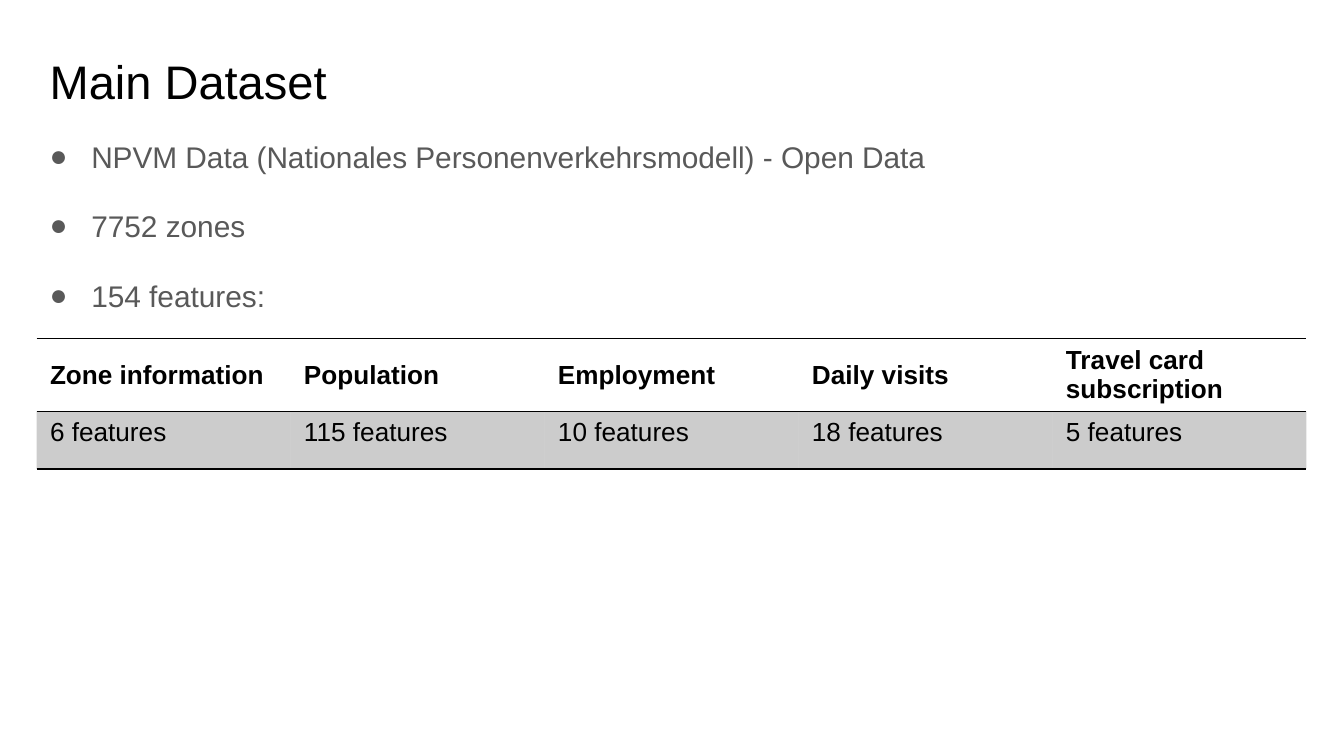
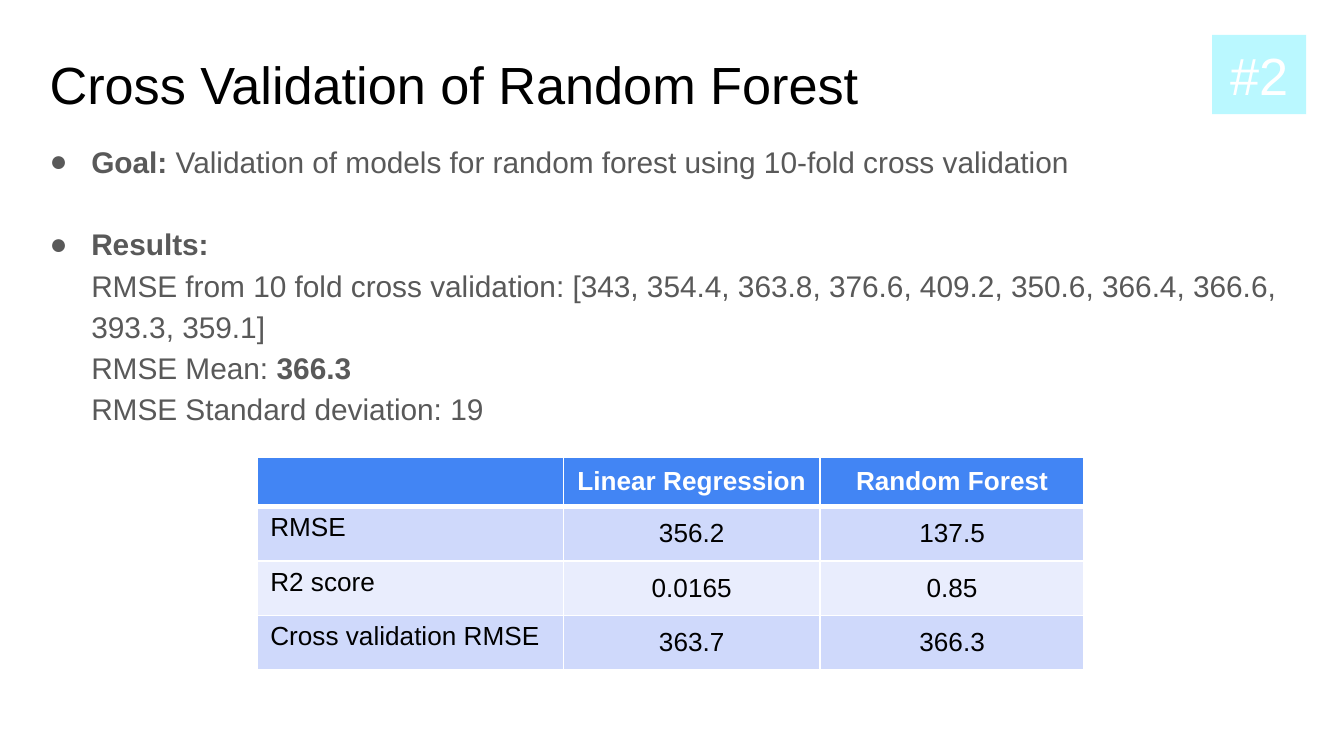
"""Build two slides: the main dataset and the random forest cross validation."""
from dataclasses import dataclass

from lxml import etree
from pptx import Presentation
from pptx.dml.color import RGBColor
from pptx.enum import shapes, text
from pptx.oxml import ns
from pptx.util import Pt


@dataclass(frozen=True)
class Theme:
    font: str = "Arial"
    ink: str = "000000"
    grey: str = "595959"
    white: str = "FFFFFF"
    header: str = "4285F4"
    band_dark: str = "CFD9FB"
    band_light: str = "E9EDFD"
    badge: str = "BAF8FF"
    title: float = 28
    title_small: float = 25.2
    body: float = 16
    table: float = 14


@dataclass(frozen=True)
class Frame:
    left: float
    top: float
    width: float
    height: float


@dataclass(frozen=True)
class Item:
    spans: tuple
    bullet: bool = True
    after: float = 0


@dataclass(frozen=True)
class CellStyle:
    edges: dict
    fill: str | None = None
    alpha: int | None = None
    color: str = "000000"
    bold: bool = False
    centred: bool = False
    middle: bool = False


THEME = Theme()
TITLE = Frame(19.4, 18.5, 680.4, 42)
BODY = Frame(19.4, 66.2, 680.4, 320.4)
BADGE = Frame(649.4, 18.7, 50.4, 42.5)


def place(shape, frame: Frame) -> None:
    """Move and size a shape."""
    shape.left, shape.top = Pt(frame.left), Pt(frame.top)
    shape.width, shape.height = Pt(frame.width), Pt(frame.height)


def add_span(para, words: str, *, size: float, color: str, bold: bool = False) -> None:
    """Add formatted text to a paragraph."""
    span = para.add_run()
    span.text = words
    span.font.name = THEME.font
    span.font.size = Pt(size)
    span.font.bold = bold
    span.font.color.rgb = RGBColor.from_string(color)


def child(parent, tag: str, **attributes: str):
    """Append a drawing element."""
    return etree.SubElement(parent, ns.qn(tag), attributes)


def set_frame(box, frame: Frame, top_inset: float = 7.2):
    """Place a text placeholder and return its text frame."""
    place(box, frame)
    content = box.text_frame
    content.word_wrap = True
    content.auto_size = text.MSO_AUTO_SIZE.NONE
    content.vertical_anchor = text.MSO_ANCHOR.TOP
    content.margin_left = content.margin_right = content.margin_bottom = Pt(7.2)
    content.margin_top = Pt(top_inset)
    return content


def set_bullet(para, bullet: bool, indent: float) -> None:
    """Indent a paragraph and give it a round bullet or none."""
    props = para._p.get_or_add_pPr()
    props.set("marL", str(Pt(indent)))
    props.set("indent", str(Pt(-indent) if bullet else 0))
    if bullet:
        child(child(props, "a:buClr"), "a:srgbClr", val=THEME.grey)
        child(props, "a:buFont", typeface=THEME.font)
        child(props, "a:buChar", char="●")
    else:
        child(props, "a:buNone")


def add_page(deck, title: str, title_size: float, items: list[Item], spacing: float):
    """Add a slide with its title and list."""
    page = deck.slides.add_slide(deck.slide_layouts[1])
    para = set_frame(page.shapes.title, TITLE, 9.5).paragraphs[0]
    para.alignment = text.PP_ALIGN.LEFT
    add_span(para, title, size=title_size, color=THEME.ink)
    content = set_frame(page.placeholders[1], BODY, 8)
    for index, item in enumerate(items):
        para = content.add_paragraph() if index else content.paragraphs[0]
        para.line_spacing = spacing
        para.space_before, para.space_after = Pt(0), Pt(item.after)
        set_bullet(para, item.bullet, 22.3)
        for words, bold in item.spans:
            add_span(para, words, size=THEME.body, color=THEME.grey, bold=bold)
    return page


def set_edges(cell, edges: dict) -> None:
    """Draw the given cell edges as colour and width, and hide the others."""
    props = cell._tc.get_or_add_tcPr()
    for side in "LRTB":
        color, width = edges.get(side, (None, 0))
        line = child(props, f"a:ln{side}", w=str(Pt(width)))
        if color:
            child(child(line, "a:solidFill"), "a:srgbClr", val=color)
        else:
            child(line, "a:noFill")


def fill_cell(cell, words: str, style: CellStyle) -> None:
    """Write and format one table cell."""
    set_edges(cell, style.edges)
    if style.fill:
        cell.fill.solid()
        cell.fill.fore_color.rgb = RGBColor.from_string(style.fill)
    else:
        cell.fill.background()
    if style.alpha:
        color = cell._tc.tcPr.find(ns.qn("a:solidFill")).find(ns.qn("a:srgbClr"))
        child(color, "a:alpha", val=str(style.alpha * 1000))
    cell.vertical_anchor = text.MSO_ANCHOR.MIDDLE if style.middle else text.MSO_ANCHOR.TOP
    if not words:
        cell.margin_top = cell.margin_bottom = Pt(0)
        return
    para = cell.text_frame.paragraphs[0]
    para.alignment = text.PP_ALIGN.CENTER if style.centred else text.PP_ALIGN.LEFT
    add_span(para, words, size=THEME.table, color=style.color, bold=style.bold)


def add_grid(page, left: float, top: float, widths: list, heights: list, rows: list, style_of) -> None:
    """Add a table whose cell styles come from style_of(row, column)."""
    table = page.shapes.add_table(
        len(heights), len(widths), Pt(left), Pt(top), Pt(sum(widths)), Pt(sum(heights))
    ).table
    table.first_row = table.horz_banding = False
    for column, width in zip(table.columns, widths):
        column.width = Pt(width)
    for row, height in zip(table.rows, heights):
        row.height = Pt(height)
    for i, row in enumerate(rows):
        for j, words in enumerate(row):
            fill_cell(table.cell(i, j), words, style_of(i, j))


def feature_style(row: int, column: int) -> CellStyle:
    """Style the feature table: ruled header above a grey row."""
    rule = (THEME.ink, 1)
    edges = {"T": rule, "B": rule}
    if row == 0:
        return CellStyle(edges, bold=True, middle=True)
    return CellStyle(edges, fill=THEME.ink, alpha=20)


def score_style(row: int, column: int) -> CellStyle:
    """Style the score table: blue header above banded rows."""
    edges = dict.fromkeys("LRTB", (THEME.white, 1))
    if row < 2:
        edges["B" if row == 0 else "T"] = (THEME.white, 3)
    if row == 0:
        return CellStyle(edges, THEME.header, color=THEME.white, bold=True, centred=True, middle=True)
    fill = THEME.band_dark if row % 2 else THEME.band_light
    return CellStyle(edges, fill, centred=column > 0, middle=column > 0)


def add_badge(page, words: str) -> None:
    """Add the numbered square at the top right."""
    box = page.shapes.add_shape(shapes.MSO_SHAPE.RECTANGLE, 0, 0, 0, 0)
    place(box, BADGE)
    box.shadow.inherit = False
    box.fill.solid()
    box.fill.fore_color.rgb = RGBColor.from_string(THEME.badge)
    box.line.fill.background()
    box.text_frame.vertical_anchor = text.MSO_ANCHOR.MIDDLE
    para = box.text_frame.paragraphs[0]
    para.alignment = text.PP_ALIGN.CENTER
    add_span(para, words, size=THEME.title, color=THEME.white)


def add_dataset_page(deck) -> None:
    """Add the slide on the main dataset."""
    facts = (
        "NPVM Data (Nationales Personenverkehrsmodell) - Open Data",
        "7752 zones",
        "154 features:",
    )
    items = [Item(((fact, False),), after=18) for fact in facts]
    page = add_page(deck, "Main Dataset", THEME.title_small, items, 1.0)
    features = {
        "Zone information": 6,
        "Population": 115,
        "Employment": 10,
        "Daily visits": 18,
        "Travel card subscription": 5,
    }
    rows = [list(features), [f"{count} features" for count in features.values()]]
    add_grid(page, 19.6, 181.4, [136.08] * 5, [39, 30.8], rows, feature_style)


def add_validation_page(deck) -> None:
    """Add the slide on cross validation."""
    scores = "343, 354.4, 363.8, 376.6, 409.2, 350.6, 366.4, 366.6, 393.3, 359.1"
    goal = "Validation of models for random forest using 10-fold cross validation"
    items = [
        Item((("Goal: ", True), (goal, False)), after=22),
        Item((("Results:", True),)),
        Item(((f"RMSE from 10 fold cross validation: [{scores}]", False),), bullet=False),
        Item((("RMSE Mean: ", False), ("366.3", True)), bullet=False),
        Item((("RMSE Standard deviation: 19", False),), bullet=False),
    ]
    page = add_page(deck, "Cross Validation of Random Forest", THEME.title, items, 1.15)
    add_badge(page, "#2")
    rows = [
        ["", "Linear Regression", "Random Forest"],
        ["RMSE", "356.2", "137.5"],
        ["R2 score", "0.0165", "0.85"],
        ["Cross validation RMSE", "363.7", "366.3"],
    ]
    add_grid(page, 137.6, 244.9, [164.2, 137.6, 141.4], [26.4] + [29.2] * 3, rows, score_style)


def main() -> None:
    """Build and save the deck."""
    deck = Presentation()
    deck.slide_width, deck.slide_height = Pt(720), Pt(405)
    add_dataset_page(deck)
    add_validation_page(deck)
    deck.save("out.pptx")


if __name__ == "__main__":
    main()
